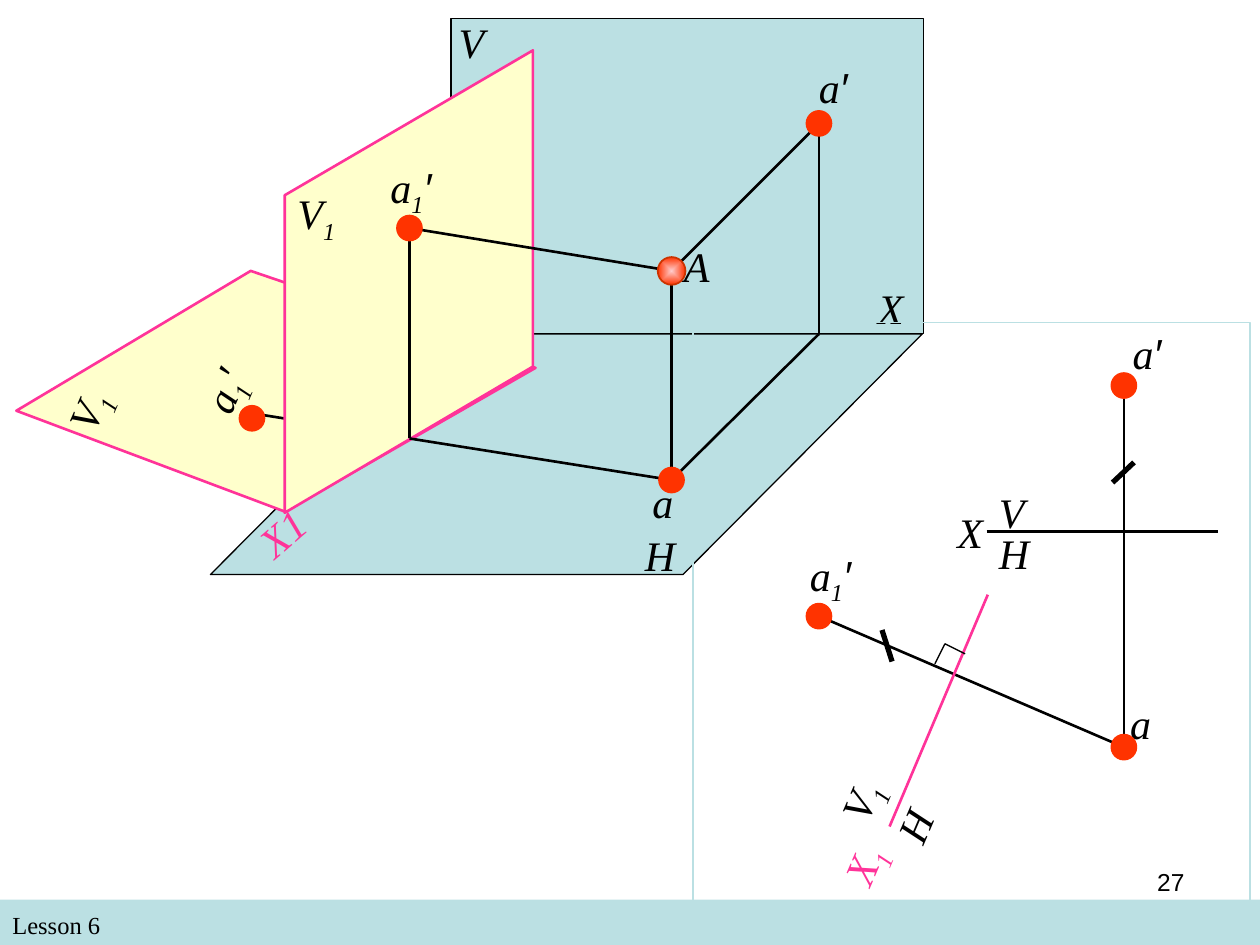
from lxml import etree
from pptx import Presentation
from pptx import util as u
from pptx.dml.color import RGBColor
from pptx.enum import shapes, text
from pptx.oxml.ns import qn

COLOURS = {
    "black": "000000",
    "plane": "BBE0E3",
    "new_plane": "FFFFCC",
    "new_axis": "FF3399",
    "dot": "FF3300",
    "glow": "FFCCCC",
    "rim": "CC3300",
}
SERIF, SANS = "Times New Roman", "Arial"
DOT = 0.17
LABEL_H, SUB_H = 0.5, 0.56


def rgb(name):
    return RGBColor.from_string(COLOURS[name])


class Drawing:
    """Holds the current slide and the style of the projection drawing."""

    def __init__(self, page):
        self.shapes = page.shapes

    def finish(self, shape, fill, line, width):
        shape.shadow.inherit = False
        if fill:
            shape.fill.solid()
            shape.fill.fore_color.rgb = rgb(fill)
        else:
            shape.fill.background()
        if line:
            shape.line.color.rgb = rgb(line)
            shape.line.width = u.Pt(width)
        else:
            shape.line.fill.background()
        return shape

    def preset(self, kind, x, y, w, h, fill=None, line=None, width=0.75):
        shape = self.shapes.add_shape(kind, *map(u.Inches, (x, y, w, h)))
        return self.finish(shape, fill, line, width)

    def rect(self, *frame, **style):
        return self.preset(shapes.MSO_SHAPE.RECTANGLE, *frame, **style)

    def dot(self, x, y, size=DOT, line="dot", width=3):
        return self.preset(shapes.MSO_SHAPE.OVAL, x - size / 2, y - size / 2,
                           size, size, fill="dot", line=line, width=width)

    def glowing_dot(self, x, y):
        fill = self.dot(x, y, 0.22, "rim", 1).fill
        fill.gradient()
        for stop, name in zip(fill.gradient_stops, ("glow", "dot")):
            stop.color.rgb = rgb(name)
        # Replace the linear direction with one running out from the centre
        grad = self.shapes[-1].element.spPr.find(qn("a:gradFill"))
        grad.remove(grad.find(qn("a:lin")))
        centre = etree.SubElement(grad, qn("a:path"), {"path": "rect"})
        etree.SubElement(centre, qn("a:fillToRect"),
                         dict.fromkeys("ltrb", "50000"))

    def outline(self, points, fill=None, line="black", width=0.75, close=True):
        corners = [(u.Inches(x), u.Inches(y)) for x, y in points]
        builder = self.shapes.build_freeform(*corners[0])
        builder.add_line_segments(corners[1:], close=close)
        return self.finish(builder.convert_to_shape(), fill, line, width)

    def line(self, start, end, colour="black", width=1.5):
        link = self.shapes.add_connector(
            shapes.MSO_CONNECTOR.STRAIGHT, *map(u.Inches, start + end))
        link.line.color.rgb = rgb(colour)
        link.line.width = u.Pt(width)
        etree.SubElement(link.element.spPr, qn("a:effectLst"))

    def text_box(self, x, y, w, h, indent=0):
        box = self.shapes.add_textbox(*map(u.Inches, (x, y, w, h)))
        frame = box.text_frame
        frame.word_wrap = True
        frame.auto_size = text.MSO_AUTO_SIZE.NONE
        frame.margin_left = u.Inches(0.1 + indent)
        return box, frame.paragraphs[0]

    def span(self, para, words, size=24, font=SERIF, colour="black",
             italic=True, sub=False):
        span = para.add_run()
        span.text = words
        span.font.size = u.Pt(size)
        span.font.name = font
        span.font.italic = italic
        span.font.color.rgb = rgb(colour)
        if sub:
            span.font._element.set("baseline", "-25000")

    def label(self, name, x, y, w, sub="", prime=False, turn=0,
              colour="black", indent=0):
        box, para = self.text_box(x, y, w, SUB_H if sub else LABEL_H, indent)
        box.rotation = turn
        self.span(para, name, colour=colour)
        if sub:
            self.span(para, sub, colour=colour, sub=True)
        if prime:
            self.span(para, "′", font=SANS, colour=colour)

    def caption(self, words, x, y, w, h, font, align=text.PP_ALIGN.LEFT):
        _, para = self.text_box(x, y, w, h)
        para.alignment = align
        self.span(para, words, 14, font, italic=False)


def main():
    deck = Presentation()
    deck.slide_width, deck.slide_height = u.Inches(10), u.Inches(7.5)
    page = deck.slides.add_slide(deck.slide_layouts[6])
    draw = Drawing(page)

    # Footer band
    draw.rect(0, 7.14, 10, 0.36, fill="plane")
    draw.caption("Lesson 6", 0, 7.17, 4.83, 0.34, SERIF)

    # New projection of the point in the flat drawing
    flat_a, flat_a1, flat_front = (8.92, 5.93), (6.5, 4.89), (8.92, 3.06)
    draw.line(flat_a1, flat_a)
    draw.label("a", 6.33, 4.31, 0.67, sub="1", prime=True)
    draw.dot(*flat_a1)

    # Planes H and V in space
    draw.outline([(3.57, 2.65), (1.67, 4.56), (5.42, 4.56), (7.32, 2.65)],
                 fill="plane")
    draw.rect(3.58, 0.15, 3.75, 2.5, fill="plane", line="black")
    draw.label("V", 3.46, 0.08, 0.52, indent=0.08)
    draw.label("H", 5.02, 4.15, 0.62)
    draw.label("X", 6.87, 2.19, 0.5)

    # Flat drawing: frame, axis X and the two first projections
    draw.rect(5.5, 2.56, 4.42, 4.83, line="plane")
    draw.line((7.83, 4.22), (9.67, 4.22))
    draw.line(flat_front, flat_a)
    draw.label("a", 8.89, 2.55, 0.67, prime=True)
    draw.label("X", 7.5, 3.97, 0.5)
    draw.label("V", 7.83, 3.81, 0.42)
    draw.label("H", 7.83, 4.14, 0.42)
    draw.dot(*flat_front)
    draw.label("a", 8.87, 5.49, 0.58)
    draw.dot(*flat_a)

    # Points in space
    point, front, new_front = (5.33, 2.15), (6.5, 0.98), (3.25, 1.81)
    foot, axis_foot, new_foot = (5.33, 3.81), (6.5, 2.65), (3.25, 3.48)

    # Plane V1 folded down
    folded = (2.0, 3.32)
    draw.outline([(2.26, 4.06), (0.13, 3.26), (1.99, 2.15), (4.25, 2.92)],
                 fill="new_plane", line="new_axis", width=1.5)
    draw.label("X1", 1.92, 3.89, 0.83, turn=319.3, colour="new_axis")
    draw.label("V", 0.3, 2.86, 0.94, sub="1", turn=293.4, indent=0.08)
    draw.label("a", 1.39, 2.6, 1.03, sub="1", prime=True, turn=293.4)
    draw.line(new_foot, (2, 3.28))
    draw.dot(*folded)

    # Plane V1 upright
    draw.outline([(2.26, 4.07), (4.23, 2.91), (4.23, 0.4), (2.26, 1.55)],
                 fill="new_plane", line="new_axis", width=1.5)
    draw.label("V", 2.09, 1.44, 0.92, sub="1", indent=0.17)

    # Projection onto V1
    draw.label("a", 3, 1.23, 0.58, sub="1", prime=True)
    for start, end in ((new_front, new_foot), (foot, new_foot),
                       (point, new_front)):
        draw.line(start, end)
    draw.dot(*new_front)

    # New axis in the flat drawing
    draw.line((7.84, 4.72), (7.06, 6.56), "new_axis")
    draw.label("X", 6.52, 6.44, 0.83, sub="1", turn=293.1, colour="new_axis")
    draw.label("H", 7.04, 6.31, 0.42, turn=293.1)
    draw.label("V", 6.49, 5.92, 0.86, sub="1", turn=293.1)

    # Marks of equal length
    draw.line((9, 3.67), (8.83, 3.83), width=3)
    draw.line((7, 5), (7.08, 5.25), width=3)

    # Projections onto V and H
    draw.label("a", 6.4, 0.44, 0.67, prime=True)
    draw.label("A", 5.33, 1.86, 0.53)
    for start, end in ((front, axis_foot), (axis_foot, foot),
                       (front, point), (point, foot)):
        draw.line(start, end)
    draw.label("a", 5.08, 3.73, 0.67)
    draw.dot(*front)
    draw.glowing_dot(*point)
    draw.dot(*foot)

    # Right angle mark and page number
    draw.outline([(7.42, 5.27), (7.5, 5.11), (7.66, 5.19)], close=False)
    draw.caption("27", 7.17, 6.83, 2.33, 0.52, SANS, text.PP_ALIGN.RIGHT)

    deck.save("out.pptx")


if __name__ == "__main__":
    main()
